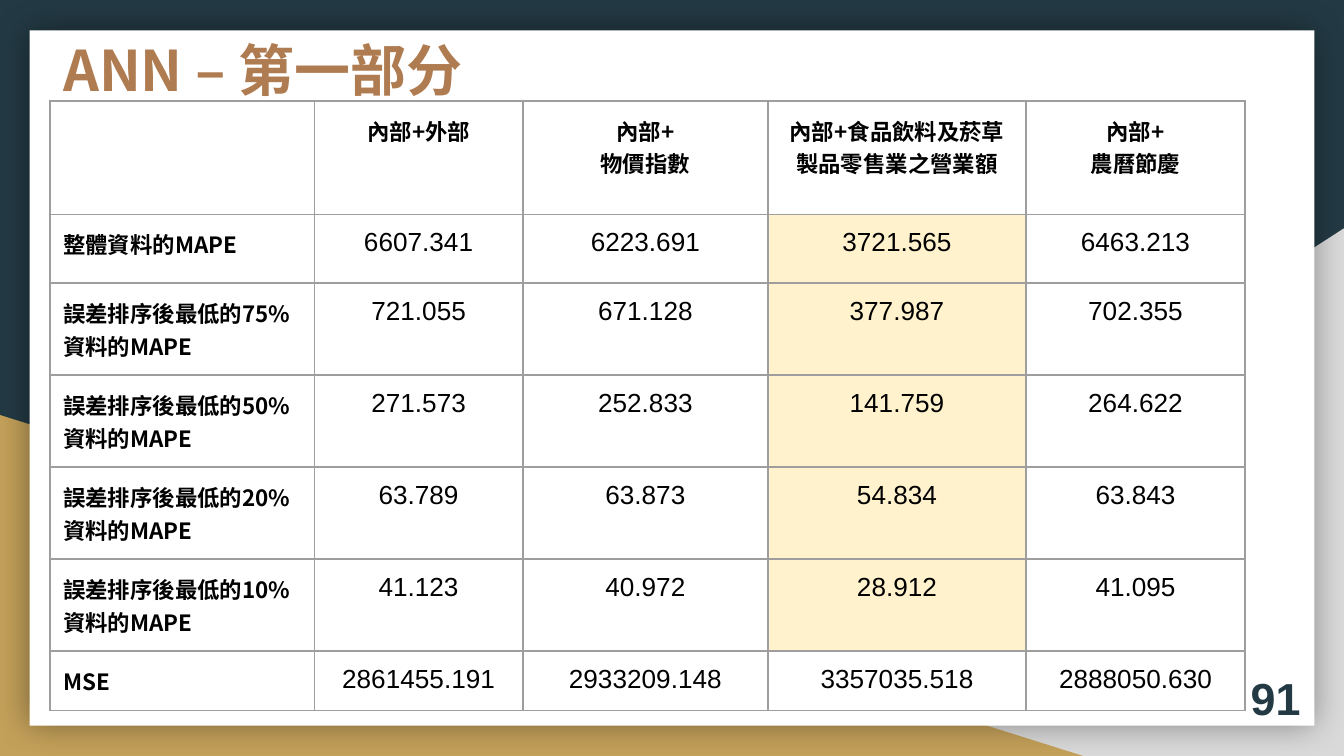
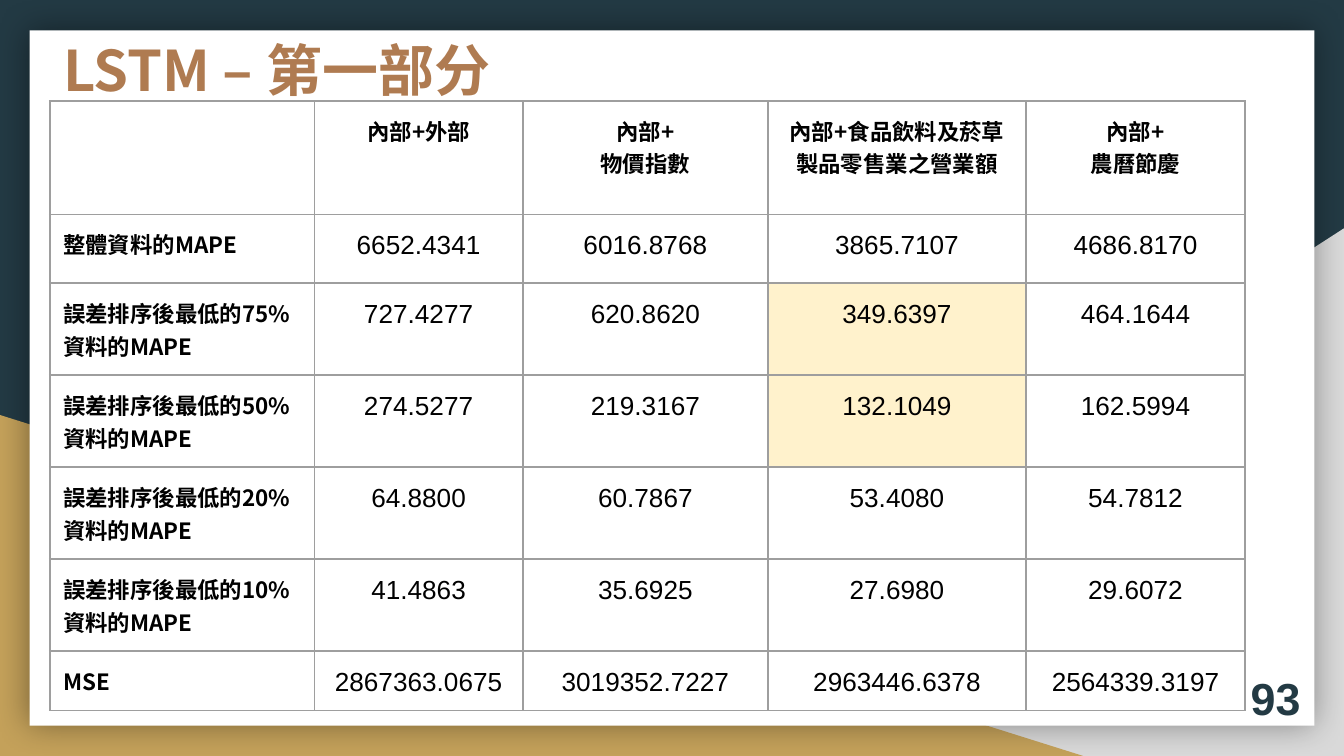
import lxml.etree
import pptx
import pptx.dml.color
import pptx.enum.shapes
import pptx.enum.text
import pptx.oxml
import pptx.oxml.ns
import pptx.util

WIDTH = pptx.util.Inches(10)
HEIGHT = WIDTH * 9 // 16
NAVY, GREY, GOLD, WHITE = "233A44", "D9D9D9", "C4A15A", "FFFFFF"
BROWN, BLACK, BORDER, HIGHLIGHT = "AF7B51", "000000", "9E9E9E", "FFF2CC"
HEADING_FONT, NUMBER_FONT = "Noto Sans CJK TC", "Arial"
ALIGN = pptx.enum.text.PP_ALIGN
ANCHOR = pptx.enum.text.MSO_ANCHOR
SHAPE = pptx.enum.shapes.MSO_SHAPE

TITLE_STYLE = {"size": 30, "name": HEADING_FONT, "bold": True, "color": BROWN}
PAGE_NUMBER_STYLE = {"size": 24, "name": NUMBER_FONT, "bold": True, "color": NAVY}
LABEL_STYLE = {"size": 12, "name": HEADING_FONT, "bold": True, "color": BLACK}
VALUE_STYLE = {"size": 14, "name": NUMBER_FONT, "bold": False, "color": BLACK}

# Shares of the slide's width and height, in percent.
COLUMN_WIDTHS = [19.7, 15.5, 18.25, 19.2, 16.3]
ROW_HEIGHTS = [15.03, 9.1] + [12.17] * 4 + [7.3]
TABLE_LEFT, TABLE_TOP = 3.7, 13.35

HEADERS = ["", "內部+外部", "內部+\n物價指數",
           "內部+食品飲料及菸草製品零售業之營業額", "內部+\n農曆節慶"]
LABELS = (["整體資料的MAPE"]
          + [f"誤差排序後最低的{share}%資料的MAPE" for share in (75, 50, 20, 10)]
          + ["MSE"])
ANN_VALUES = [
    ["6607.341", "6223.691", "3721.565", "6463.213"],
    ["721.055", "671.128", "377.987", "702.355"],
    ["271.573", "252.833", "141.759", "264.622"],
    ["63.789", "63.873", "54.834", "63.843"],
    ["41.123", "40.972", "28.912", "41.095"],
    ["2861455.191", "2933209.148", "3357035.518", "2888050.630"],
]
LSTM_VALUES = [
    ["6652.4341", "6016.8768", "3865.7107", "4686.8170"],
    ["727.4277", "620.8620", "349.6397", "464.1644"],
    ["274.5277", "219.3167", "132.1049", "162.5994"],
    ["64.8800", "60.7867", "53.4080", "54.7812"],
    ["41.4863", "35.6925", "27.6980", "29.6072"],
    ["2867363.0675", "3019352.7227", "2963446.6378", "2564339.3197"],
]
HIGHLIGHT_COLUMN = 3


def rgb(value):
    return pptx.dml.color.RGBColor.from_string(value)


def across(percent):
    return round(WIDTH * percent / 100)


def down(percent):
    return round(HEIGHT * percent / 100)


def area(left, top, width, height):
    return across(left), down(top), across(width), down(height)


def fill(target, color):
    target.fill.solid()
    target.fill.fore_color.rgb = rgb(color)


def set_margins(target, inches):
    for side in ("left", "top", "right", "bottom"):
        setattr(target, f"margin_{side}", pptx.util.Inches(inches))


def write(frame, text, style, align, spacing=1.0):
    """Put one paragraph per line of text into a text frame."""
    for index, line in enumerate(text.split("\n")):
        para = frame.add_paragraph() if index else frame.paragraphs[0]
        para.alignment = align
        para.line_spacing = spacing
        span = para.add_run()
        span.text = line
        formats = {**style, "size": pptx.util.Pt(style["size"])}
        span.font.color.rgb = rgb(formats.pop("color"))
        for name, value in formats.items():
            setattr(span.font, name, value)
        east_asian = lxml.etree.SubElement(
            span._r.get_or_add_rPr(), pptx.oxml.ns.qn("a:ea"))
        east_asian.set("typeface", style["name"])


def add_backdrop_shape(page, kind, place, color):
    """Add a plain shape behind the title."""
    shape = page.shapes.add_shape(kind, *area(*place))
    shape.shadow.inherit = False
    fill(shape, color)
    shape.line.fill.background()
    page.shapes.title.element.addprevious(shape.element)
    return shape


def add_glow_shadow(shape):
    effects = shape.element.spPr.find(pptx.oxml.ns.qn("a:effectLst"))
    effects.append(pptx.oxml.parse_xml(
        f'<a:outerShdw {pptx.oxml.ns.nsdecls("a")} blurRad="{pptx.util.Pt(18)}" dist="0"'
        f' rotWithShape="0"><a:srgbClr val="{BLACK}"><a:alpha val="40000"/>'
        '</a:srgbClr></a:outerShdw>'))


def add_backdrop(page):
    grey = add_backdrop_shape(page, SHAPE.RIGHT_TRIANGLE, (39.2, 30.2, 60.8, 69.8), GREY)
    grey.element.spPr.get_or_add_xfrm().set("flipH", "1")
    add_backdrop_shape(page, SHAPE.RIGHT_TRIANGLE, (0, 54.9, 80.6, 45.1), GOLD)
    panel = add_backdrop_shape(page, SHAPE.RECTANGLE, (2.2, 4, 95.6, 92), WHITE)
    add_glow_shadow(panel)


def format_frame(frame, anchor):
    frame.word_wrap = True
    frame.auto_size = pptx.enum.text.MSO_AUTO_SIZE.NONE
    frame.vertical_anchor = anchor
    set_margins(frame, 0.1)


def set_title(page, text):
    title = page.shapes.title
    title.left, title.top, title.width, title.height = area(3.7, 2.9, 88.9, 14.6)
    format_frame(title.text_frame, ANCHOR.TOP)
    write(title.text_frame, text, TITLE_STYLE, ALIGN.LEFT)


def add_page_number(page, number):
    box = page.shapes.add_textbox(*area(91.75, 88.4, 6, 7.65))
    format_frame(box.text_frame, ANCHOR.MIDDLE)
    write(box.text_frame, str(number), PAGE_NUMBER_STYLE, ALIGN.RIGHT)


def set_borders(cell):
    properties = cell._tc.get_or_add_tcPr()
    for index, side in enumerate("LRTB"):
        properties.insert(index, pptx.oxml.parse_xml(
            f'<a:ln{side} {pptx.oxml.ns.nsdecls("a")} w="{pptx.util.Pt(1)}"><a:solidFill>'
            f'<a:srgbClr val="{BORDER}"/></a:solidFill></a:ln{side}>'))


def add_error_table(page, values, highlighted_rows, margin, spacing):
    rows = [HEADERS] + [[label] + line for label, line in zip(LABELS, values)]
    place = area(TABLE_LEFT, TABLE_TOP, sum(COLUMN_WIDTHS), sum(ROW_HEIGHTS))
    table = page.shapes.add_table(len(rows), len(HEADERS), *place).table
    table.first_row = table.horz_banding = False
    for column, width in zip(table.columns, COLUMN_WIDTHS):
        column.width = across(width)
    for row, height in zip(table.rows, ROW_HEIGHTS):
        row.height = down(height)
    for row_index, texts in enumerate(rows):
        for column_index, text in enumerate(texts):
            cell = table.cell(row_index, column_index)
            is_value = row_index > 0 and column_index > 0
            marked = column_index == HIGHLIGHT_COLUMN and row_index in highlighted_rows
            fill(cell, HIGHLIGHT if marked else WHITE)
            set_borders(cell)
            set_margins(cell, margin if is_value else 0.1)
            if text:
                write(cell.text_frame, text,
                      VALUE_STYLE if is_value else LABEL_STYLE,
                      ALIGN.CENTER if column_index else ALIGN.LEFT,
                      spacing if is_value else 1.0)


def add_result_page(deck, title, number, **table_options):
    page = deck.slides.add_slide(deck.slide_layouts.get_by_name("Title Only"))
    add_backdrop(page)
    set_title(page, title)
    add_page_number(page, number)
    add_error_table(page, **table_options)


def main():
    deck = pptx.Presentation()
    deck.slide_width, deck.slide_height = WIDTH, HEIGHT
    fill(deck.slide_master.background, NAVY)
    add_result_page(deck, "ANN – 第一部分", 91, values=ANN_VALUES,
                    highlighted_rows=range(1, 6), margin=0.1, spacing=1.0)
    add_result_page(deck, "LSTM – 第一部分", 93, values=LSTM_VALUES,
                    highlighted_rows=(2, 3), margin=0.09, spacing=1.15)
    deck.save("out.pptx")


if __name__ == "__main__":
    main()
